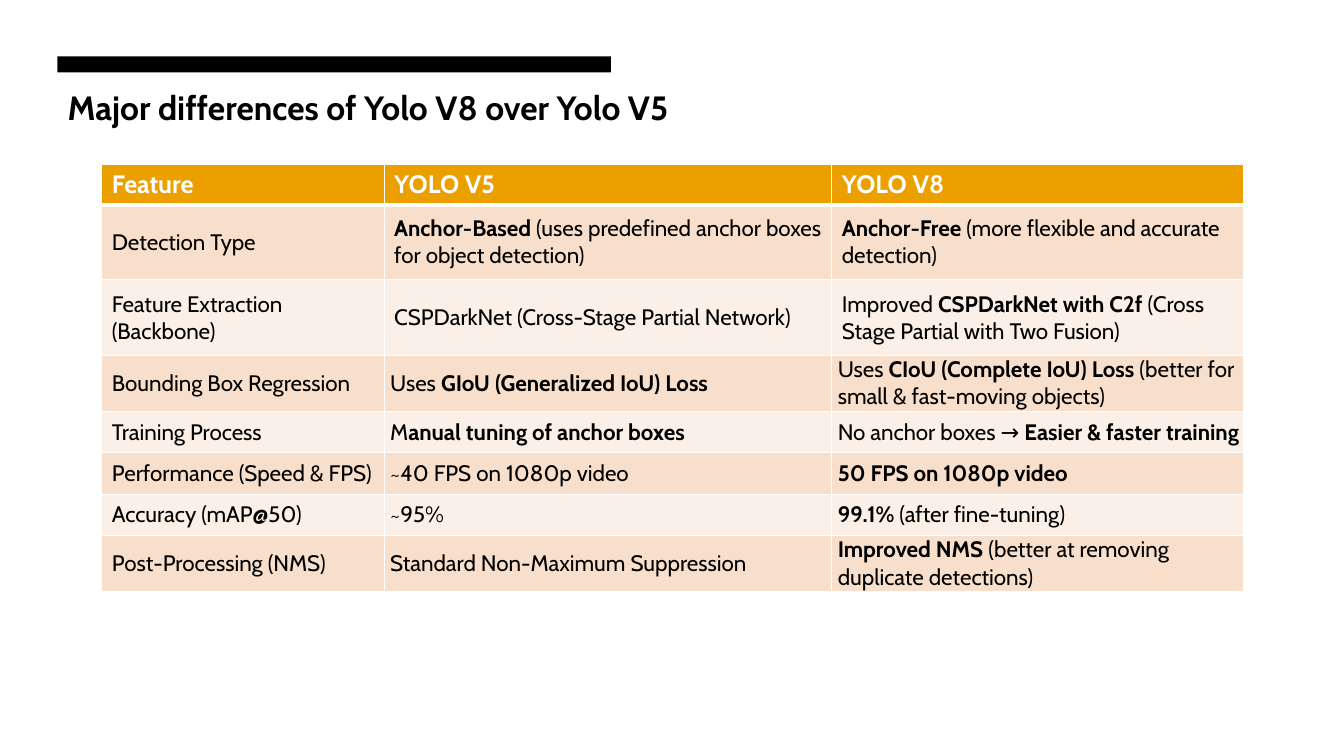
from lxml import etree
from pptx import Presentation
from pptx import util as u
from pptx.dml.color import RGBColor
from pptx.enum import shapes, text
from pptx.oxml import ns

BLACK = RGBColor(0x00, 0x00, 0x00)
WHITE = RGBColor(0xFF, 0xFF, 0xFF)
AMBER = RGBColor(0xEB, 0xA0, 0x00)
PEACH = RGBColor(0xF7, 0xDF, 0xCC)
CREAM = RGBColor(0xFB, 0xF0, 0xE7)
FONT = "Cabin"

COLUMN_WIDTHS = [2.8, 4.44, 4.08]
ROW_HEIGHTS = [0.4, 0.74, 0.75, 0.55, 0.41, 0.41, 0.41, 0.55]
ROOMY_ROWS = 3
HEADERS = ["Feature", "YOLO V5", "YOLO V8"]
COMPARISON = [
    ["Detection Type",
     "**Anchor-Based** (uses predefined anchor boxes for object detection)",
     "**Anchor-Free** (more flexible and accurate detection)"],
    ["Feature Extraction (Backbone)",
     "CSPDarkNet (Cross-Stage Partial Network)",
     "Improved** CSPDarkNet with C2f **(Cross Stage Partial with Two Fusion)"],
    ["Bounding Box Regression",
     "Uses **GIoU (Generalized IoU) Loss**",
     "Uses **CIoU (Complete IoU) Loss** (better for small & fast-moving objects)"],
    ["Training Process",
     "M**anual tuning of anchor boxes**",
     "No anchor boxes → **Easier & faster training**"],
    ["Performance (Speed & FPS)", "~40 FPS on 1080p video", "**50 FPS on 1080p video**"],
    ["Accuracy (mAP@50)", "~95%", "**99.1%** (after fine-tuning)"],
    ["Post-Processing (NMS)",
     "Standard Non-Maximum Suppression",
     "**Improved NMS** (better at removing duplicate detections)"],
]


def apply(target, values):
    for name, value in values.items():
        setattr(target, name, value)


def add_text(paragraph, marked_text, size, color, bold=False):
    for index, part in enumerate(marked_text.split("**")):
        if part:
            run = paragraph.add_run()
            run.text = part
            apply(run.font, {"name": FONT, "size": u.Pt(size), "bold": bold or index % 2 == 1})
            run.font.color.rgb = color


def add_borders(cell, widths):
    properties = cell._tc.get_or_add_tcPr()
    for side, width in widths.items():
        line = etree.SubElement(properties, ns.qn(f"a:ln{side}"), w=str(u.Pt(width)))
        fill = etree.SubElement(line, ns.qn("a:solidFill"))
        etree.SubElement(fill, ns.qn("a:srgbClr"), val=str(WHITE))


def add_heading(slide, left, top, width):
    bar = slide.shapes.add_shape(shapes.MSO_SHAPE.RECTANGLE, u.Inches(left), u.Inches(top),
                                 u.Inches(5.49), u.Inches(0.16))
    bar.shadow.inherit = False
    bar.fill.solid()
    bar.fill.fore_color.rgb = BLACK
    bar.line.fill.background()

    title = slide.shapes.title
    apply(title, {"left": u.Inches(left), "top": u.Inches(top + 0.25),
                  "width": u.Inches(width), "height": u.Inches(0.5)})
    apply(title.text_frame, {"word_wrap": False, "auto_size": text.MSO_AUTO_SIZE.NONE,
                             "vertical_anchor": text.MSO_ANCHOR.TOP})
    paragraph = title.text_frame.paragraphs[0]
    paragraph.alignment = text.PP_ALIGN.LEFT
    add_text(paragraph, "Major differences of Yolo V8 over Yolo V5", 24, BLACK, True)


def cell_margins(row, column):
    if row == 0:
        return {"left": 0.1, "right": 0.1, "top": 0.05, "bottom": 0.05}
    if row < ROOMY_ROWS:
        return dict.fromkeys(["left", "right", "top", "bottom"], 0.1)
    return {"left": 0.06 if column else 0.1, "right": 0.01, "top": 0.01, "bottom": 0.01}


def fill_cell(cell, row, column, content):
    is_header = row == 0
    add_borders(cell, {"L": 1, "R": 1, "T": 3 if row == 1 else 1, "B": 3 if is_header else 1})
    cell.fill.solid()
    cell.fill.fore_color.rgb = AMBER if is_header else PEACH if row % 2 else CREAM
    cell.vertical_anchor = text.MSO_ANCHOR.TOP if is_header else text.MSO_ANCHOR.MIDDLE
    apply(cell, {f"margin_{side}": u.Inches(margin)
                 for side, margin in cell_margins(row, column).items()})
    add_text(cell.text_frame.paragraphs[0], content, 18 if is_header else 16,
             WHITE if is_header else BLACK, is_header)


def add_comparison_table(slide, left, top):
    rows = [HEADERS] + COMPARISON
    frame = slide.shapes.add_table(len(rows), len(HEADERS), u.Inches(left), u.Inches(top),
                                   u.Inches(sum(COLUMN_WIDTHS)), u.Inches(sum(ROW_HEIGHTS)))
    table = frame.table
    for column, width in zip(table.columns, COLUMN_WIDTHS):
        column.width = u.Inches(width)
    for row, height in zip(table.rows, ROW_HEIGHTS):
        row.height = u.Inches(height)
    for row, contents in enumerate(rows):
        for column, content in enumerate(contents):
            fill_cell(table.cell(row, column), row, column, content)


def main():
    presentation = Presentation()
    apply(presentation, {"slide_width": u.Inches(13.33), "slide_height": u.Inches(7.5)})
    slide = presentation.slides.add_slide(presentation.slide_layouts.get_by_name("Title Only"))
    add_heading(slide, 0.57, 0.56, 6.18)
    add_comparison_table(slide, 1.01, 1.63)
    presentation.save("out.pptx")


if __name__ == "__main__":
    main()
